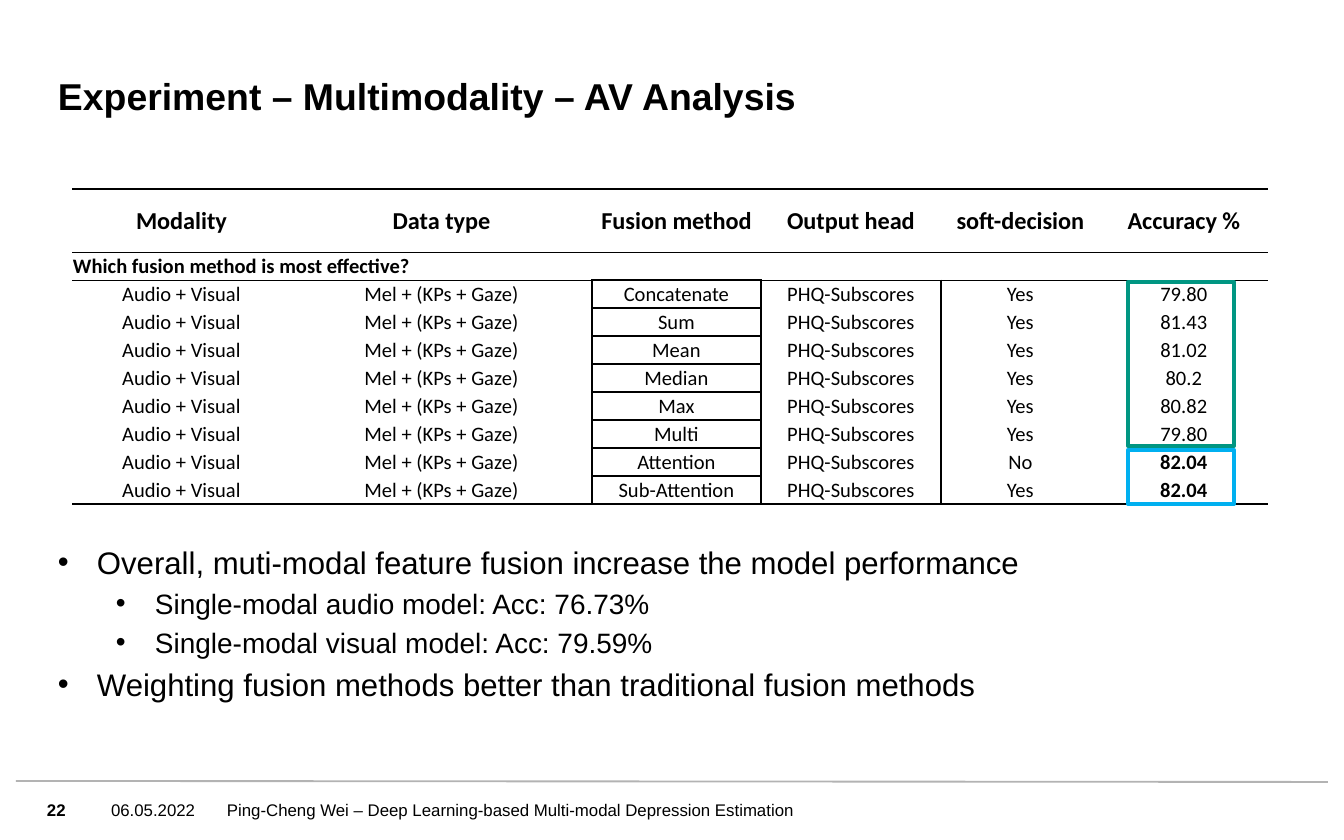
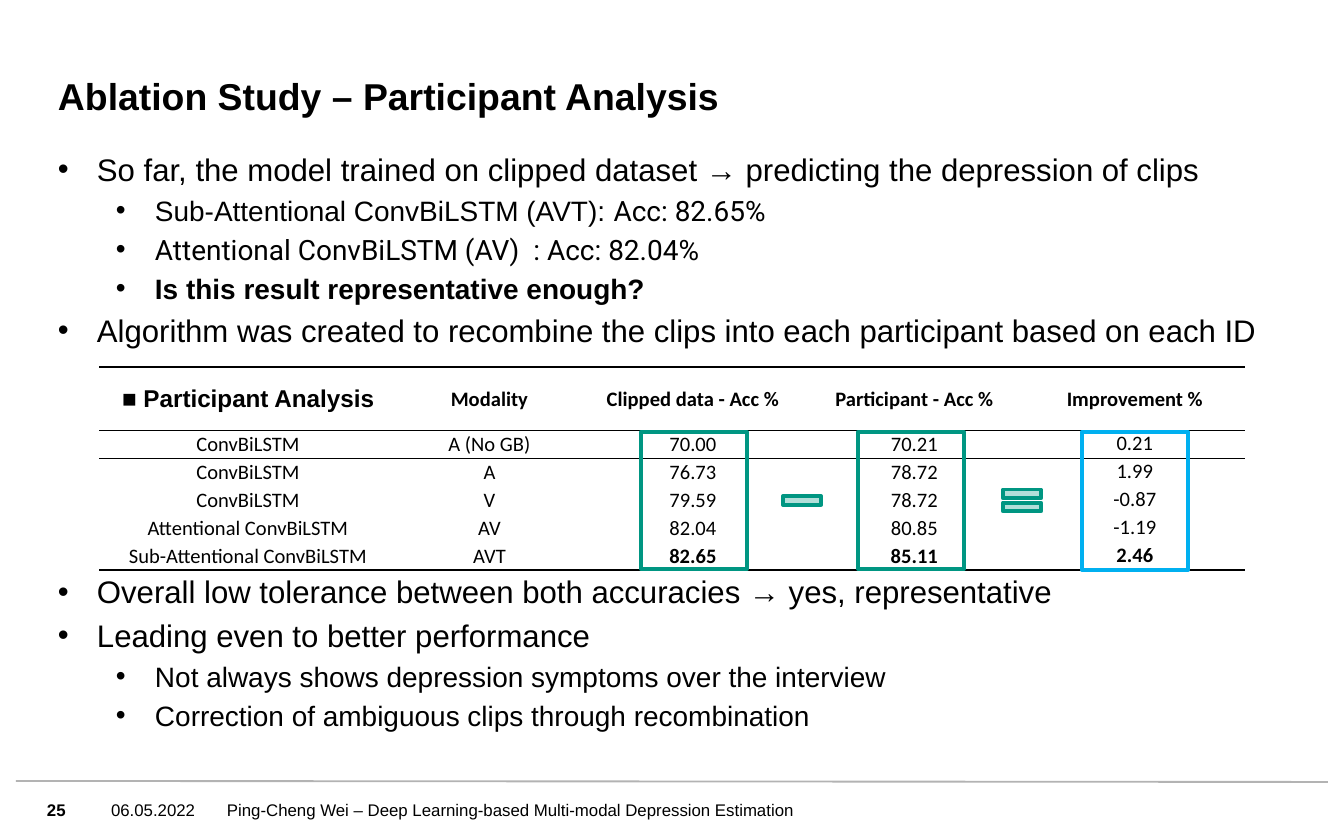
from lxml.etree import SubElement
from pptx import Presentation
from pptx.dml.color import RGBColor
from pptx.enum.shapes import MSO_CONNECTOR, MSO_SHAPE
from pptx.enum.text import MSO_ANCHOR, MSO_AUTO_SIZE, PP_ALIGN
from pptx.oxml.ns import qn
from pptx.util import Pt

PX = 914400 / 134.4
BLACK, GREY, GREEN, MINT, BLUE = "000000", "B3B3B3", "009682", "B2DFD9", "00B0F0"
ARIAL, CALIBRI, ROBOTO = "Arial", "Calibri", "Roboto"
NO_STYLE = "{2D5ABB26-0587-4C30-8999-92F81FD0307C}"

TITLE_BOX = (58, 50, 1016, 68)
RULE = (16, 781, 1328, 782)
DATE = "06.05.2022"
FOOTER = "Ping-Cheng Wei – Deep Learning-based Multi-modal Depression Estimation"
BODY_SIZES = (16.7, 15)
BODY_MARGINS = (39, 97)
HANGING = 39
HEAD_H, ROW_H = 63, 28

FUSION_RESULTS = [
    ("Concatenate", "Yes", "79.80"),
    ("Sum", "Yes", "81.43"),
    ("Mean", "Yes", "81.02"),
    ("Median", "Yes", "80.2"),
    ("Max", "Yes", "80.82"),
    ("Multi", "Yes", "79.80"),
    ("Attention", "No", "82.04"),
    ("Sub-Attention", "Yes", "82.04"),
]

# Body entries: level, runs of (text, font, bold), optional space before in points
SLIDES = [
    {
        "number": "22",
        "title": "Experiment – Multimodality – AV Analysis",
        "body_box": (58, 543, 1228, 206),
        "body": [
            (0, [("Overall, muti-modal feature fusion increase the model performance", ARIAL, False)]),
            (1, [("Single-modal audio model: Acc: 76.73%", ARIAL, False)]),
            (1, [("Single-modal visual model: Acc: 79.59%", ARIAL, False)]),
            (0, [("Weighting fusion methods better than traditional fusion methods", ARIAL, False)]),
        ],
        "table": {
            "at": (72, 189),
            "cols": (219, 301, 169, 180, 159, 168),
            "head": [(name, 13, CALIBRI) for name in (
                "Modality", "Data type", "Fusion method",
                "Output head", "soft-decision", "Accuracy %")],
            "question": "Which fusion method is most effective?",
            "rows": [("Audio + Visual", "Mel + (KPs + Gaze)", method, "PHQ-Subscores", soft, acc)
                     for method, soft, acc in FUSION_RESULTS],
            "bold": {(8, 5), (9, 5)},
            "boxed_col": 2,
            "top_col": None,
        },
        "frames": [(1128, 282, 106, 164, GREEN), (1128, 450, 106, 54, BLUE)],
        "operators": [],
    },
    {
        "number": "25",
        "title": "Ablation Study – Participant Analysis",
        "body_box": (58, 150, 1228, 625),
        "body": [
            (0, [("So far, the model trained on clipped dataset → predicting the depression of clips",
                  ARIAL, False)]),
            (1, [("Sub-Attentional ConvBiLSTM (AVT): ", ARIAL, False), ("Acc: 82.65%", ROBOTO, False)]),
            (1, [("Attentional ConvBiLSTM (AV)  : Acc: 82.04%", ROBOTO, False)]),
            (1, [("Is this result representative enough?", ARIAL, True)]),
            (0, [("Algorithm was created to recombine the clips into each participant based on each ID",
                  ARIAL, False)]),
            (0, [("Overall low tolerance between both accuracies → yes, representative", ARIAL, False)], 120),
            (0, [("Leading even to better performance", ARIAL, False)]),
            (1, [("Not always shows depression symptoms over the interview", ARIAL, False)]),
            (1, [("Correction of ambiguous clips through recombination", ARIAL, False)]),
        ],
        "table": {
            "at": (99, 367),
            "cols": (298, 185, 222, 221, 220),
            "head": [("■ Participant Analysis", 13, ARIAL)] + [(name, 11, CALIBRI) for name in (
                "Modality", "Clipped data - Acc %", "Participant - Acc %", "Improvement %")],
            "question": None,
            "rows": [
                ("ConvBiLSTM", "A (No GB)", "70.00", "70.21", "0.21"),
                ("ConvBiLSTM", "A", "76.73", "78.72", "1.99"),
                ("ConvBiLSTM", "V", "79.59", "78.72", "-0.87"),
                ("Attentional ConvBiLSTM", "AV", "82.04", "80.85", "-1.19"),
                ("Sub-Attentional ConvBiLSTM", "AVT", "82.65", "85.11", "2.46"),
            ],
            "bold": {(5, 2), (5, 3), (5, 4)},
            "boxed_col": None,
            "top_col": 4,
        },
        "frames": [(641, 432, 106, 137, GREEN), (858, 432, 106, 137, GREEN),
                   (1082, 432, 106, 138, BLUE)],
        "operators": [(MSO_SHAPE.MATH_MINUS, 776), (MSO_SHAPE.MATH_EQUAL, 996)],
    },
]


def px(*lengths):
    return [round(n * PX) for n in lengths]


def rgb(code):
    return RGBColor.from_string(code)


def add_run(p, text, size, font=ARIAL, bold=False):
    r = p.add_run()
    r.text = text
    r.font.size = Pt(size)
    r.font.name = font
    r.font.bold = bold
    r.font.color.rgb = rgb(BLACK)


def prepare_frame(tf, anchor):
    tf.margin_left = tf.margin_top = tf.margin_right = tf.margin_bottom = 0
    tf.word_wrap = True
    tf.auto_size = MSO_AUTO_SIZE.NONE
    tf.vertical_anchor = anchor
    return tf


def place(sp, box):
    sp.left, sp.top, sp.width, sp.height = px(*box)


def add_footer(slide, number):
    x1, y1, x2, y2 = px(*RULE)
    rule = slide.shapes.add_connector(MSO_CONNECTOR.STRAIGHT, x1, y1, x2, y2)
    rule.line.color.rgb = rgb(GREY)
    rule.line.width = Pt(1)
    SubElement(rule._element.spPr, qn("a:effectLst"))
    for text, left, width, bold in ((number, 47, 48, True), (DATE, 111, 110, False),
                                    (FOOTER, 227, 699, False)):
        sp = slide.shapes.add_textbox(*px(left, 784, width, 52))
        tf = prepare_frame(sp.text_frame, MSO_ANCHOR.MIDDLE)
        add_run(tf.paragraphs[0], text, 9, bold=bold)


def fill_title(slide, text):
    sp = slide.shapes.title
    place(sp, TITLE_BOX)
    p = prepare_frame(sp.text_frame, MSO_ANCHOR.BOTTOM).paragraphs[0]
    p.alignment = PP_ALIGN.LEFT
    add_run(p, text, 20, bold=True)


def fill_body(slide, box, items):
    sp = slide.placeholders[1]
    place(sp, box)
    tf = prepare_frame(sp.text_frame, MSO_ANCHOR.TOP)
    for i, (level, runs, *gap) in enumerate(items):
        p = tf.add_paragraph() if i else tf.paragraphs[0]
        p.level = level
        pPr = p._p.get_or_add_pPr()
        pPr.set("marL", str(px(BODY_MARGINS[level])[0]))
        pPr.set("indent", str(-px(HANGING)[0]))
        SubElement(pPr, qn("a:buFont"), typeface=ARIAL)
        SubElement(pPr, qn("a:buChar"), char="•")
        if i == 0:
            p.space_before = Pt(0)
        elif gap:
            p.space_before = Pt(gap[0])
        for text, font, bold in runs:
            add_run(p, text, BODY_SIZES[level], font, bold)


def set_borders(cell, widths):
    """Draw the sides named in widths (L, R, T, B), given in points."""
    tcPr = cell._tc.get_or_add_tcPr()
    for side in "LRTB":
        if side in widths:
            ln = SubElement(tcPr, qn("a:ln" + side), w=str(Pt(widths[side])))
            fill = SubElement(ln, qn("a:solidFill"))
            SubElement(fill, qn("a:srgbClr"), val=BLACK)


def border_widths(row, col, last_row, first_result, boxed_col):
    if row == 0:
        return {"T": 1, "B": 0.5}
    widths = {}
    if row == 1:
        widths["T"] = 0.5
    if row == last_row:
        widths["B"] = 1
    if boxed_col is not None and row >= first_result:
        if col == boxed_col:
            widths = dict.fromkeys("LRTB", 1)
        elif col == boxed_col - 1:
            widths["R"] = 1
        elif col == boxed_col + 1:
            widths["L"] = 1
    return widths


def add_results_table(slide, spec):
    cols, head, question = spec["cols"], spec["head"], spec["question"]
    body = [[(text, 11, CALIBRI) for text in row] for row in spec["rows"]]
    if question:
        body.insert(0, [(question, 11, CALIBRI)] + [("", 11, CALIBRI)] * (len(cols) - 1))
    rows = [head] + body
    heights = [HEAD_H] + [ROW_H] * len(body)
    frame = slide.shapes.add_table(len(rows), len(cols), *px(*spec["at"], sum(cols), sum(heights)))
    table = frame.table
    table._tbl.tblPr.find(qn("a:tableStyleId")).text = NO_STYLE
    table.first_row = table.horz_banding = False
    for column, width in zip(table.columns, px(*cols)):
        column.width = width
    for row, height in zip(table.rows, px(*heights)):
        row.height = height
    if question:
        table.cell(1, 0).merge(table.cell(1, len(cols) - 1))

    first_result = 2 if question else 1
    for i, row in enumerate(rows):
        for j, (text, size, font) in enumerate(row):
            cell = table.cell(i, j)
            set_borders(cell, border_widths(i, j, len(body), first_result, spec["boxed_col"]))
            cell.fill.background()
            cell.margin_left = cell.margin_right = cell.margin_top = px(1)[0]
            cell.margin_bottom = 0
            at_top = i > 0 and j == spec["top_col"]
            cell.vertical_anchor = MSO_ANCHOR.TOP if at_top else MSO_ANCHOR.MIDDLE
            if text:
                p = cell.text_frame.paragraphs[0]
                p.alignment = PP_ALIGN.LEFT if text == question else PP_ALIGN.CENTER
                bold = i < first_result or (i, j) in spec["bold"]
                add_run(p, text, size, font, bold)


def add_outlined(slide, kind, box, line, width, fill=None):
    sp = slide.shapes.add_shape(kind, *px(*box))
    sp.shadow.inherit = False
    sp.line.color.rgb = rgb(line)
    sp.line.width = Pt(width)
    if fill:
        sp.fill.solid()
        sp.fill.fore_color.rgb = rgb(fill)
    else:
        sp.fill.background()


def main():
    prs = Presentation()
    prs.slide_width, prs.slide_height = px(1344, 840)
    for content in SLIDES:
        slide = prs.slides.add_slide(prs.slide_layouts[1])
        add_footer(slide, content["number"])
        fill_title(slide, content["title"])
        fill_body(slide, content["body_box"], content["body"])
        add_results_table(slide, content["table"])
        for *box, color in content["frames"]:
            add_outlined(slide, MSO_SHAPE.RECTANGLE, box, color, 2.25)
        for kind, left in content["operators"]:
            add_outlined(slide, kind, (left, 482, 52, 37), GREEN, 2, MINT)
    prs.save("out.pptx")


if __name__ == "__main__":
    main()
